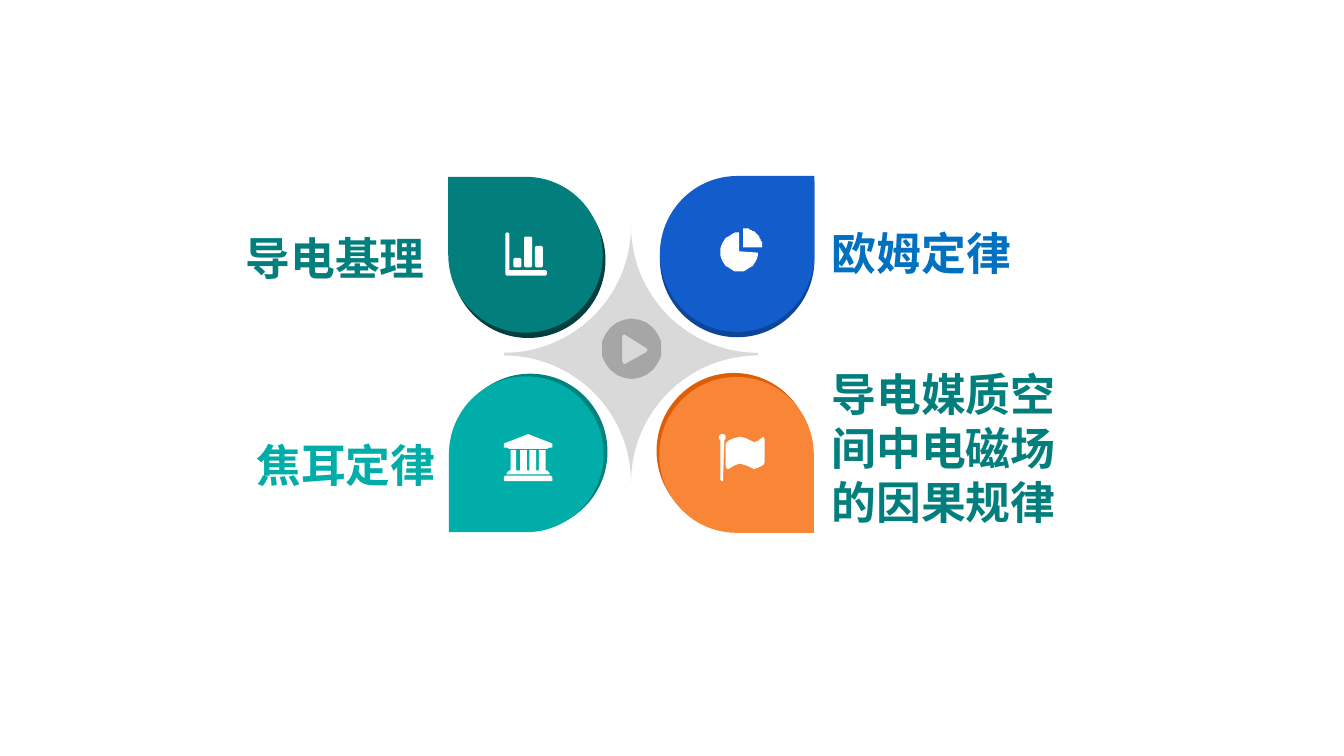
"""Build a slide with four teardrop petals, each with an icon and a heading."""
import math

import pptx
import pptx.dml.color
import pptx.enum.shapes
import pptx.enum.text
import pptx.util

Pt = pptx.util.Pt
RGB = pptx.dml.color.RGBColor
MSO = pptx.enum.shapes.MSO_SHAPE
ALIGN = pptx.enum.text.PP_ALIGN

WHITE = RGB(0xFF, 0xFF, 0xFF)
LIGHT_GREY = RGB(0xD9, 0xD9, 0xD9)
GREY = RGB(0xA6, 0xA6, 0xA6)
GREEN = RGB(0x02, 0x7F, 0x7D)
DARK_GREEN = RGB(0x01, 0x3F, 0x3F)
BLUE = RGB(0x12, 0x5C, 0xCB)
DARK_BLUE = RGB(0x0D, 0x45, 0x98)
TEXT_BLUE = RGB(0x00, 0x70, 0xC0)
TEAL = RGB(0x00, 0xAD, 0xA9)
DARK_TEAL = RGB(0x00, 0x82, 0x7F)
ORANGE = RGB(0xF9, 0x86, 0x37)
DARK_ORANGE = RGB(0xDD, 0x5E, 0x07)

FONT = "Noto Sans CJK JP"
ICON_UNIT = Pt(0.72)


def arc(cx, cy, radius, start, end):
    angles = [math.radians(start + (end - start) * i / 24) for i in range(25)]
    return [(cx + radius * math.cos(a), cy + radius * math.sin(a)) for a in angles]


def rounded(left, top, right, bottom, cut=1):
    return [(left + cut, top), (right - cut, top), (right, top + cut), (right, bottom - cut),
            (right - cut, bottom), (left + cut, bottom), (left, bottom - cut), (left, top + cut)]


prs = pptx.Presentation()
prs.slide_width, prs.slide_height = Pt(720), Pt(405)
s = prs.slides.add_slide(prs.slide_layouts[6])

headings = [
    ("焦耳定律", 123.84, 234.72, 109.44, 28.8, ALIGN.RIGHT, TEAL),
    ("欧姆定律", 445.68, 120.96, 111.6, 28.8, ALIGN.LEFT, TEXT_BLUE),
    ("导电基理", 129.6, 123.84, 97.92, 28.8, ALIGN.RIGHT, GREEN),
    ("导电媒质空间中电磁场的因果规律", 439.2, 196.56, 132.48, 87.12, ALIGN.CENTER, GREEN),
]
for text, left, top, width, height, align, color in headings:
    tf = s.shapes.add_textbox(Pt(left), Pt(top), Pt(width), Pt(height)).text_frame
    tf.word_wrap = True
    tf.auto_size = pptx.enum.text.MSO_AUTO_SIZE.SHAPE_TO_FIT_TEXT
    tf.margin_left = tf.margin_top = tf.margin_right = tf.margin_bottom = 0
    p = tf.paragraphs[0]
    p.text = text
    p.alignment = align
    p.font.name = FONT
    p.font.size = Pt(24)
    p.font.bold = True
    p.font.color.rgb = color

LONG, SHORT = 83.52, 82.8
petals = [
    (MSO.PLAQUE, 270, 120.96, 136.08, 137.52, 0, LIGHT_GREY),
    (MSO.TEAR, 241.2, 97.92, LONG, SHORT, 270, DARK_GREEN),
    (MSO.TEAR, 239.76, 95.04, LONG, SHORT, 270, GREEN),
    (MSO.TEAR, 353.52, 97.2, SHORT, LONG, 0, DARK_BLUE),
    (MSO.TEAR, 353.52, 94.32, SHORT, LONG, 0, BLUE),
    (MSO.TEAR, 242.64, 200.16, SHORT, LONG, 180, DARK_TEAL),
    (MSO.TEAR, 240.48, 201.6, SHORT, LONG, 180, TEAL),
    (MSO.TEAR, 351.36, 200.16, LONG, SHORT, 90, DARK_ORANGE),
    (MSO.TEAR, 352.8, 202.32, LONG, SHORT, 90, ORANGE),
]
for kind, left, top, width, height, rotation, color in petals:
    sp = s.shapes.add_shape(kind, Pt(left), Pt(top), Pt(width), Pt(height))
    sp.adjustments[0] = 0.5 if kind == MSO.PLAQUE else 1
    sp.rotation = rotation
    sp.shadow.inherit = False
    sp.fill.solid()
    sp.fill.fore_color.rgb = color
    sp.line.fill.background()

play = [
    arc(470, 259.5, 22.3, 0, 360),
    [(482, 260), (481, 259), (465, 249), (464, 249), (463, 250),
     (463, 269), (464, 271), (465, 271), (481, 262)],
]
bank = [
    [(375, 330), (393, 323), (411, 330), (411, 333), (409, 333),
     (407, 334), (379, 334), (377, 333), (375, 333)],
    [(375, 358), (375, 355), (376, 354), (410, 354), (411, 355), (411, 358)],
    [(377, 353), (377, 352), (379, 350), (407, 350), (409, 352), (409, 353)],
]
for left, right in [(380, 384), (387, 392), (394, 399), (401, 406)]:
    bank.append([(left, 335), (right, 335), (right, 350), (left, 350)])
flag = [
    arc(537.5, 325.5, 2.5, 125, 415) + [(538.5, 357), (538, 358), (537, 358), (536, 357)],
    [(540, 330), (542, 328), (546, 326), (551, 325), (555, 326), (559, 328), (561, 329),
     (564, 328), (568, 325), (569, 327), (569, 344), (568, 346), (564, 348), (561, 349),
     (557, 347), (554, 345.5), (551, 345), (547, 346), (542, 349), (541, 349), (540, 347)],
]
bars = [
    [(376, 174), (377, 173), (378, 173), (379, 174), (379, 201), (406, 201),
     (407, 202), (407, 204), (406, 205), (377, 205), (376, 204)],
]
for left, top in [(398, 183), (390, 176), (382, 192)]:
    bars.append(rounded(left, top, left + 6, 199))
pie = [
    [(553, 184)] + arc(553, 184, 14, -90, 0),
    [(550, 187)] + arc(550, 187.5, 14.3, 0, 270),
]
icons = [(play, GREY), (bank, WHITE), (flag, WHITE), (bars, WHITE), (pie, WHITE)]
for contours, color in icons:
    builder = s.shapes.build_freeform(*contours[0][0], scale=ICON_UNIT)
    builder.add_line_segments(contours[0][1:])
    for contour in contours[1:]:
        builder.move_to(*contour[0])
        builder.add_line_segments(contour[1:])
    sp = builder.convert_to_shape()
    sp.shadow.inherit = False
    sp.fill.solid()
    sp.fill.fore_color.rgb = color
    sp.line.fill.background()

prs.save("out.pptx")
